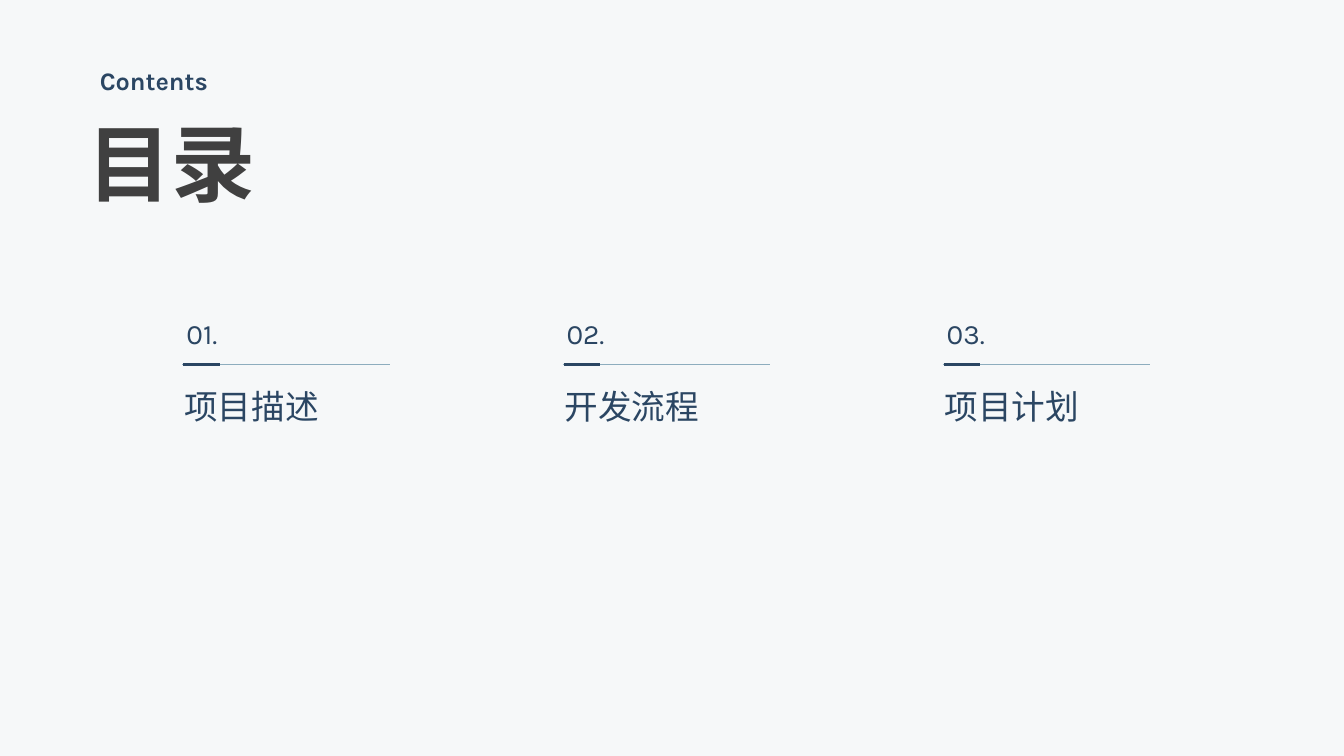
from dataclasses import dataclass

from lxml import etree
from pptx import Presentation
from pptx.dml.color import RGBColor
from pptx.enum import lang, shapes, text
from pptx.oxml import ns
from pptx.util import Inches, Pt

BACKGROUND = RGBColor(0xF6, 0xF8, 0xF9)
NAVY = RGBColor(0x2B, 0x46, 0x63)
PALE_BLUE = RGBColor(0x8D, 0xAD, 0xBE)
CHARCOAL = RGBColor(0x40, 0x40, 0x40)
FONT = "Karla"

FIRST_LEFT = 1.73
COLUMN_PITCH = 3.77
RULE_TOP = 3.62


@dataclass(frozen=True)
class Chapter:
    number: str
    name: str


CHAPTERS = [
    Chapter("01.", "项目描述"),
    Chapter("02.", "开发流程"),
    Chapter("03.", "项目计划"),
]


def write(box, words: str, *, size: float, color: RGBColor = NAVY,
          bold: bool = False, inset_left: float = 0.12, inset_right: float = 0.1,
          anchor=text.MSO_ANCHOR.BOTTOM, language=lang.MSO_LANGUAGE_ID.SIMPLIFIED_CHINESE) -> None:
    """Put one formatted line of text into a box."""
    frame = box.text_frame
    frame.word_wrap = True
    frame.auto_size = text.MSO_AUTO_SIZE.NONE
    frame.vertical_anchor = anchor
    frame.margin_left, frame.margin_right = Inches(inset_left), Inches(inset_right)
    frame.margin_top = frame.margin_bottom = 0
    paragraph = frame.paragraphs[0]
    paragraph.alignment = text.PP_ALIGN.LEFT
    run = paragraph.add_run()
    run.text = words
    run.font.name = FONT
    run.font.size = Pt(size)
    run.font.bold = bold
    run.font.color.rgb = color
    run.font.language_id = language


def add_box(slide, left: float, top: float, width: float, height: float):
    return slide.shapes.add_textbox(Inches(left), Inches(top), Inches(width), Inches(height))


def add_rule(slide, left: float, length: float, color: RGBColor, weight: float) -> None:
    """Draw a horizontal rule under the chapter numbers."""
    rule = slide.shapes.add_connector(
        shapes.MSO_CONNECTOR.STRAIGHT,
        Inches(left), Inches(RULE_TOP), Inches(left + length), Inches(RULE_TOP))
    rule.line.color.rgb = color
    rule.line.width = Pt(weight)
    etree.SubElement(rule._element.spPr, ns.qn("a:effectLst"))


def add_chapter(slide, chapter: Chapter, left: float) -> None:
    write(add_box(slide, left, 2.78, 1.7, 0.69), chapter.number, size=20)
    write(add_box(slide, left, 3.83, 3.08, 1.86), chapter.name, size=24,
          inset_left=0.1, anchor=text.MSO_ANCHOR.TOP)
    add_rule(slide, left + 0.08, 2.06, PALE_BLUE, 0.75)
    add_rule(slide, left + 0.09, 0.36, NAVY, 2.25)


def main() -> None:
    deck = Presentation()
    deck.slide_width, deck.slide_height = Inches(13.33), Inches(7.5)
    slide = deck.slides.add_slide(deck.slide_layouts[5])
    slide.background.fill.solid()
    slide.background.fill.fore_color.rgb = BACKGROUND

    # Heading
    write(add_box(slide, 0.87, 0.57, 2.04, 0.38), "Contents", size=18, bold=True,
          language=lang.MSO_LANGUAGE_ID.ENGLISH_US)
    title = slide.shapes.title
    title.left, title.top = Inches(0.87), Inches(0.95)
    title.width, title.height = Inches(2.04), Inches(1.16)
    write(title, "目录", size=60, color=CHARCOAL, bold=True, inset_left=0, inset_right=0)

    # Chapters
    for index, chapter in enumerate(CHAPTERS):
        add_chapter(slide, chapter, FIRST_LEFT + index * COLUMN_PITCH)

    deck.save("out.pptx")


if __name__ == "__main__":
    main()
